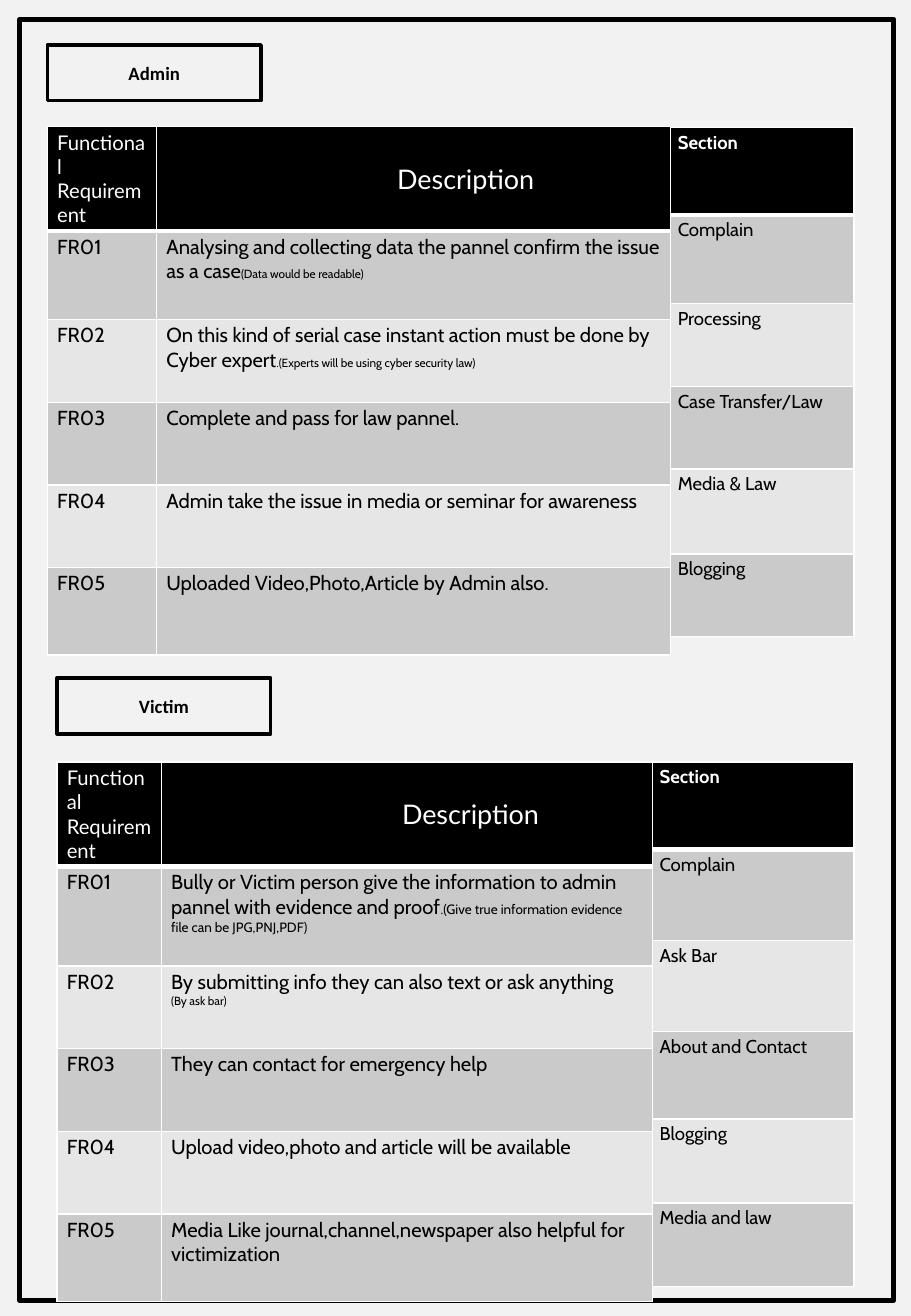
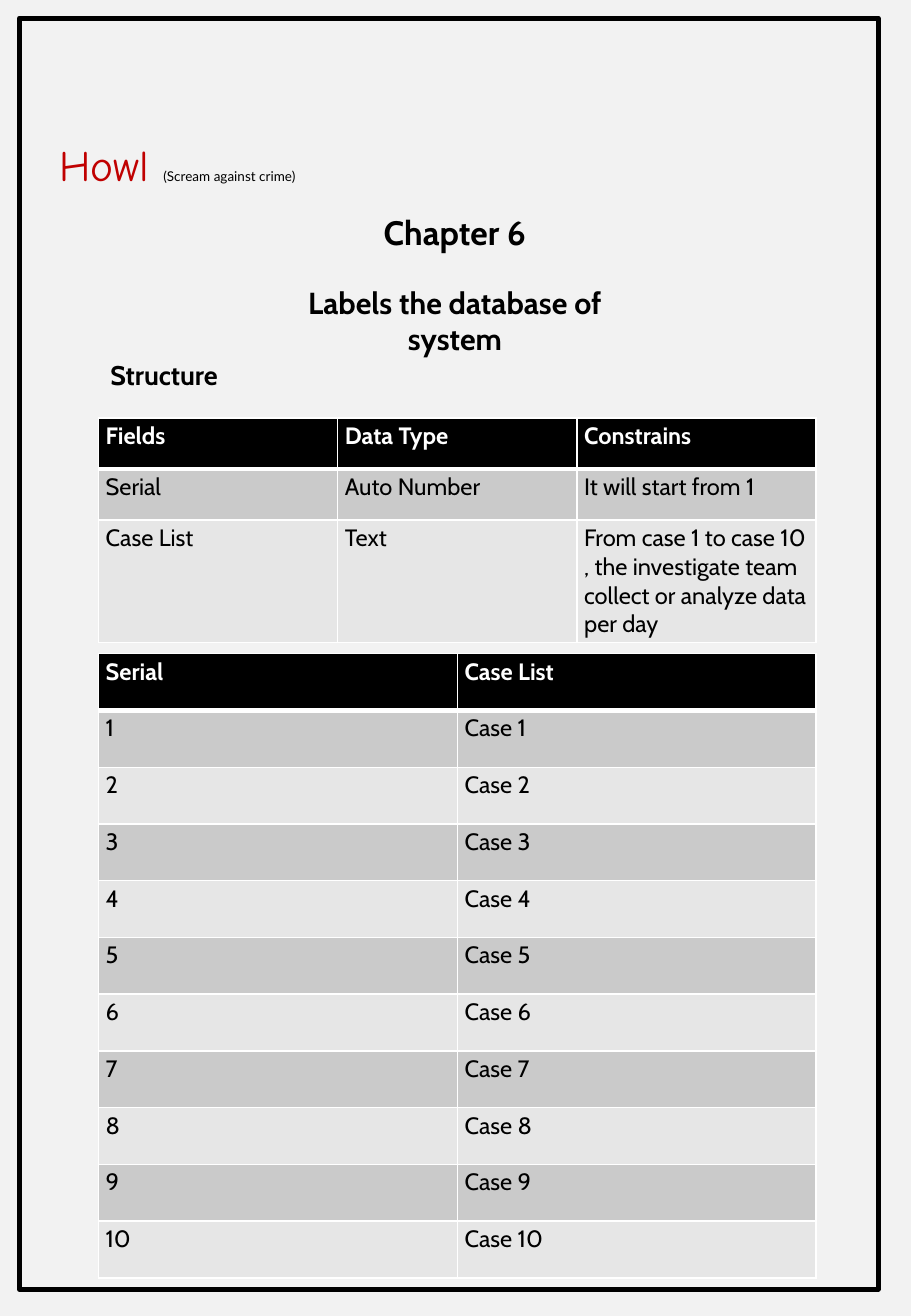
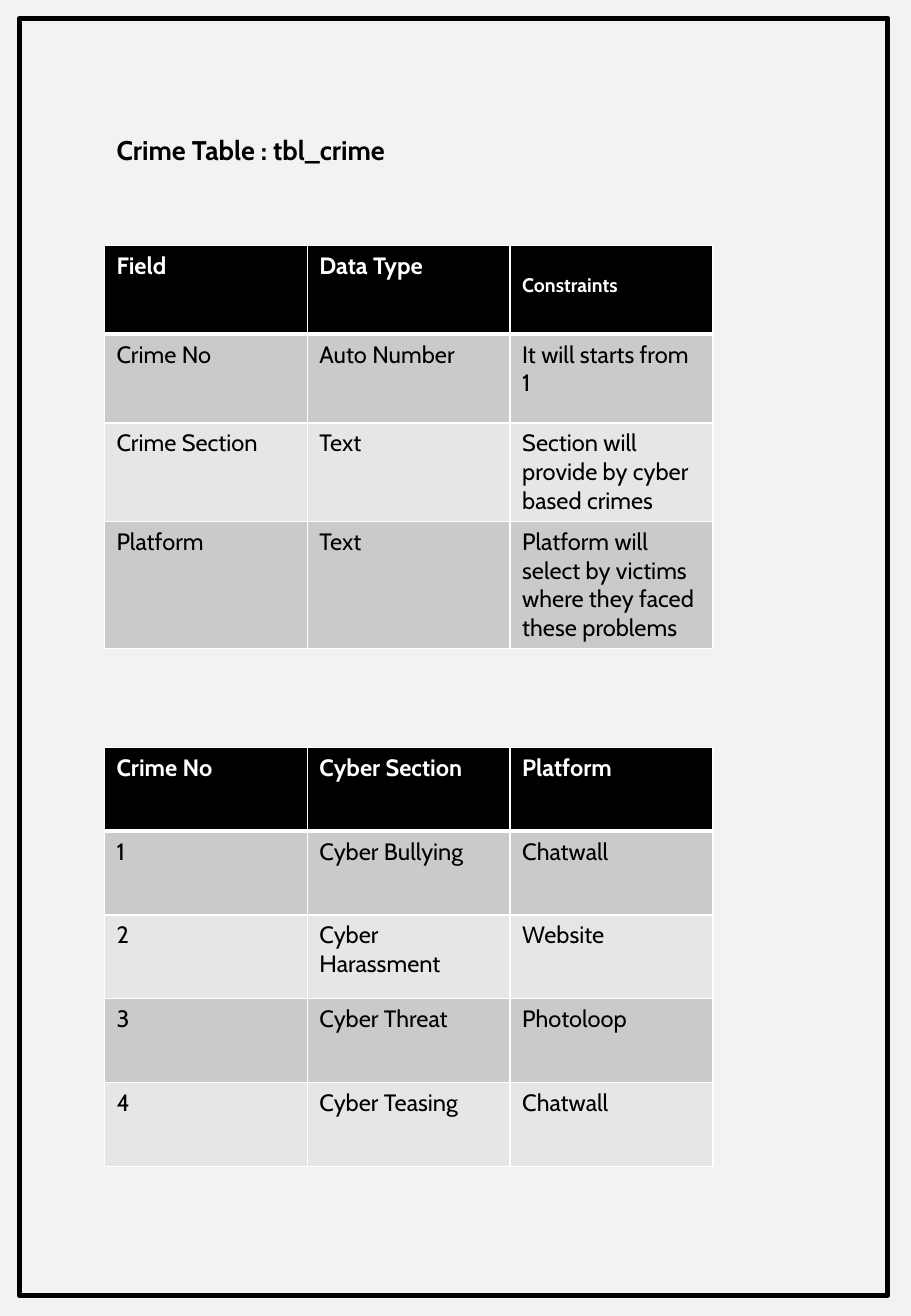
from pptx import Presentation
from pptx.dml.color import RGBColor
from pptx.enum.shapes import MSO_SHAPE
from pptx.enum.text import MSO_ANCHOR, MSO_AUTO_SIZE, PP_ALIGN
from pptx.oxml.ns import qn
from pptx.util import Inches, Pt
from lxml import etree

RECTANGLE = MSO_SHAPE.RECTANGLE
TOP, MIDDLE = MSO_ANCHOR.TOP, MSO_ANCHOR.MIDDLE
LEFT, CENTER = PP_ALIGN.LEFT, PP_ALIGN.CENTER
NO_AUTOFIT = MSO_AUTO_SIZE.NONE

COLORS = {
    "page": "F2F2F2",
    "ink": "000000",
    "white": "FFFFFF",
    "dark_band": "CACACA",
    "light_band": "E6E6E6",
    "red": "C00000",
}


def write(frame, paragraphs, anchor=TOP, margins=(0.06, 0.03), align=LEFT,
          space_before=0, **text_format):
    """Fill a text frame; a paragraph is a string or a list of (text, format) runs."""
    frame.word_wrap = True
    frame.vertical_anchor = anchor
    frame.margin_left = frame.margin_right = Inches(margins[0])
    frame.margin_top = frame.margin_bottom = Inches(margins[1])
    for index, runs in enumerate(paragraphs):
        paragraph = frame.paragraphs[0] if index == 0 else frame.add_paragraph()
        paragraph.alignment = align
        paragraph.space_before = Pt(space_before if index else 0)
        for text, changes in [(runs, {})] if isinstance(runs, str) else runs:
            style = {"font": "Cabin", "size": 14, "color": "ink", "bold": False,
                     "baseline": 0, **text_format, **changes}
            run = paragraph.add_run()
            run.text = text
            run.font.name = style["font"]
            run.font.size = Pt(style["size"])
            run.font.bold = style["bold"]
            run.font.color.rgb = RGBColor.from_string(COLORS[style["color"]])
            if style["baseline"]:
                run._r.get_or_add_rPr().set("baseline", str(style["baseline"] * 1000))


def add_grid(slide, left, top, widths, heights, rows, margins=(0.06, 0.03), size=14):
    """Add a banded table with a black header; a cell is a string or a paragraph list."""
    table = slide.shapes.add_table(
        len(heights), len(widths), Inches(left), Inches(top),
        Inches(sum(widths)), Inches(sum(heights))).table
    for column, width in zip(table.columns, widths):
        column.width = Inches(width)
    for row_index, (height, row) in enumerate(zip(heights, rows)):
        table.rows[row_index].height = Inches(height)
        header = row_index == 0
        band = "ink" if header else "dark_band" if row_index % 2 else "light_band"
        borders = {"lnL": 1, "lnR": 1, "lnT": 3 if row_index == 1 else 1,
                   "lnB": 3 if header else 1}
        for column_index, content in enumerate(row):
            cell = table.cell(row_index, column_index)
            properties = cell._tc.get_or_add_tcPr()
            for side, points in borders.items():
                line = etree.SubElement(properties, qn(f"a:{side}"), w=str(Pt(points)))
                fill = etree.SubElement(line, qn("a:solidFill"))
                etree.SubElement(fill, qn("a:srgbClr"), val=COLORS["white"])
            cell.fill.solid()
            cell.fill.fore_color.rgb = RGBColor.from_string(COLORS[band])
            write(cell.text_frame, [content] if isinstance(content, str) else content,
                  size=size, bold=header, color="white" if header else "ink")
            cell.margin_left = cell.margin_right = Inches(margins[0])
            cell.margin_top = cell.margin_bottom = Inches(margins[1])
    return table


presentation = Presentation()
presentation.slide_width = Inches(7.5)
presentation.slide_height = Inches(10.83)

# Shared background
background = presentation.slide_master.background.fill
background.solid()
background.fore_color.rgb = RGBColor.from_string(COLORS["page"])

# Slides with their page frames: layout, top, width, height
TITLE_ONLY, BLANK = 5, 6
slides = []
for layout, top, width, height in [(BLANK, 0.16, 7.2, 10.54),
                                   (TITLE_ONLY, 0.15, 7.07, 10.46),
                                   (TITLE_ONLY, 0.15, 7.15, 10.51)]:
    slide = presentation.slides.add_slide(presentation.slide_layouts[layout])
    page_frame = slide.shapes.add_shape(
        RECTANGLE, Inches(0.16), Inches(top), Inches(width), Inches(height))
    page_frame.shadow.inherit = False
    page_frame.fill.background()
    page_frame.line.color.rgb = RGBColor.from_string(COLORS["ink"])
    page_frame.line.width = Pt(3)
    slides.append(slide)
requirements_slide, database_slide, crime_slide = slides

# Slide 1: requirements of each role
note = {"size": 7}
roles = [
    {
        "name": "Admin", "left": 0.39, "label_top": 0.37, "table_top": 1.04,
        "widths": [0.9, 4.23], "heights": [0.72, 0.73, 0.68, 0.68, 0.68, 0.72],
        "descriptions": [
            [[("Analysing and collecting data the pannel confirm the issue as a case", {}),
              ("(Data would be readable)", note)]],
            [[("On this kind of serial case instant action must be done by Cyber expert", {}),
              (".(Experts will be using cyber security law)", note)]],
            "Complete and pass for law pannel.",
            "Admin take the issue in media or seminar for awareness",
            "Uploaded Video,Photo,Article by Admin also.",
        ],
        "section_top": 1.05, "section_width": 1.51,
        "section_heights": [0.72, 0.73, 0.68, 0.68, 0.7, 0.68],
        "sections": ["Complain", "Processing", "Case Transfer/Law", "Media & Law",
                     "Blogging"],
    },
    {
        "name": "Victim", "left": 0.47, "label_top": 5.58, "table_top": 6.27,
        "widths": [0.86, 4.04], "heights": [0.72, 0.82, 0.68, 0.68, 0.68, 0.72],
        "descriptions": [
            [[("Bully or Victim person give the information to admin pannel "
               "with evidence and proof", {}),
              (".(Give true information evidence file can be JPG,PNJ,PDF)", {"size": 8})]],
            ["By submitting info they can also text or ask anything",
             [("(By ask bar)", note)]],
            "They can contact for emergency help",
            "Upload video,photo and article will be available",
            "Media Like journal,channel,newspaper also helpful for victimization",
        ],
        "section_top": 6.27, "section_width": 1.66,
        "section_heights": [0.72, 0.75, 0.75, 0.72, 0.69, 0.69],
        "sections": ["Complain", "Ask Bar", "About and Contact", "Blogging",
                     "Media and law"],
    },
]
heading = {"font": "Lato", "bold": False}
for role in roles:
    label = requirements_slide.shapes.add_shape(
        RECTANGLE, Inches(role["left"]), Inches(role["label_top"]),
        Inches(1.76), Inches(0.46))
    label.shadow.inherit = False
    label.fill.solid()
    label.fill.fore_color.rgb = RGBColor.from_string(COLORS["page"])
    label.line.color.rgb = RGBColor.from_string(COLORS["ink"])
    label.line.width = Pt(2)
    write(label.text_frame, [role["name"]], anchor=MIDDLE, align=CENTER,
          font="Calibri", size=11.1, bold=True)

    rows = [[[[("Functional", heading)], [("Requirement", heading)]],
             [[("Description", {**heading, "size": 16})]]]]
    rows += [[f"FR0{number}", description]
             for number, description in enumerate(role["descriptions"], 1)]
    table = add_grid(requirements_slide, role["left"], role["table_top"],
                     role["widths"], role["heights"], rows, margins=(0.08, 0.03), size=12)
    description_header = table.cell(0, 1)
    description_header.margin_left = Inches(1.98)
    description_header.vertical_anchor = MIDDLE

    add_grid(requirements_slide, role["left"] + sum(role["widths"]), role["section_top"],
             [role["section_width"]], role["section_heights"],
             [[section] for section in ["Section"] + role["sections"]], size=11)

# Slide 2: database structure
title = database_slide.shapes.title
title.left, title.top, title.width, title.height = (
    Inches(2.09), Inches(1.71), Inches(3.31), Inches(1.26))
title.text_frame.auto_size = NO_AUTOFIT
write(title.text_frame,
      [[("Chapter 6", {"size": 20})], "Labels the database of system"],
      align=CENTER, space_before=19, size=18, bold=True)

tagline = database_slide.shapes.add_textbox(
    Inches(0.42), Inches(1.1), Inches(2.2), Inches(0.5))
write(tagline.text_frame,
      [[("Howl ", {"font": "Comic Neue", "size": 25.7, "color": "red"}),
        ("(Scream against crime)", {"font": "Lato", "size": 8})]],
      margins=(0.07, 0.04))

structure = database_slide.shapes.add_textbox(
    Inches(0.81), Inches(2.9), Inches(1.47), Inches(0.37))
write(structure.text_frame, ["Structure"], margins=(0.1, 0.05), size=16, bold=True)

add_grid(database_slide, 0.81, 3.44, [1.97] * 3, [0.42, 0.42, 1.01], [
    ["Fields", "Data Type", "Constrains"],
    ["Serial", "Auto Number", "It will start from 1"],
    ["Case List", "Text",
     "From case 1 to case 10 , the investigate team collect or analyze data per day"],
])
add_grid(database_slide, 0.81, 5.38, [2.955] * 2, [0.467] * 11,
         [["Serial", "Case List"]]
         + [[str(number), f"Case {number}"] for number in range(1, 11)])

# Slide 3: crime table
title = crime_slide.shapes.title
title.left, title.top, title.width, title.height = (
    Inches(0.86), Inches(1.05), Inches(2.89), Inches(0.37))
title.text_frame.auto_size = NO_AUTOFIT
write(title.text_frame, ["Crime Table : tbl_crime"], margins=(0.1, 0.05),
      size=16, bold=True)

crime_tables = [
    (2.02, [0.73, 0.73, 0.73, 0.88], [
        ["Field", "Data Type", [[("Constraints", {"size": 20, "baseline": -25})]]],
        ["Crime No", "Auto Number", "It will starts from 1"],
        ["Crime Section", "Text", "Section will provide by cyber based crimes"],
        ["Platform", "Text",
         "Platform will select by victims where they faced these problems"],
    ]),
    (6.15, [0.69] * 5, [
        ["Crime No", "Cyber Section", "Platform"],
        ["1", "Cyber Bullying", "Chatwall"],
        ["2", "Cyber Harassment", "Website"],
        ["3", "Cyber Threat", "Photoloop"],
        ["4", "Cyber Teasing", "Chatwall"],
    ]),
]
for top, heights, rows in crime_tables:
    add_grid(crime_slide, 0.86, top, [1.67] * 3, heights, rows, margins=(0.1, 0.05))

presentation.save("out.pptx")
